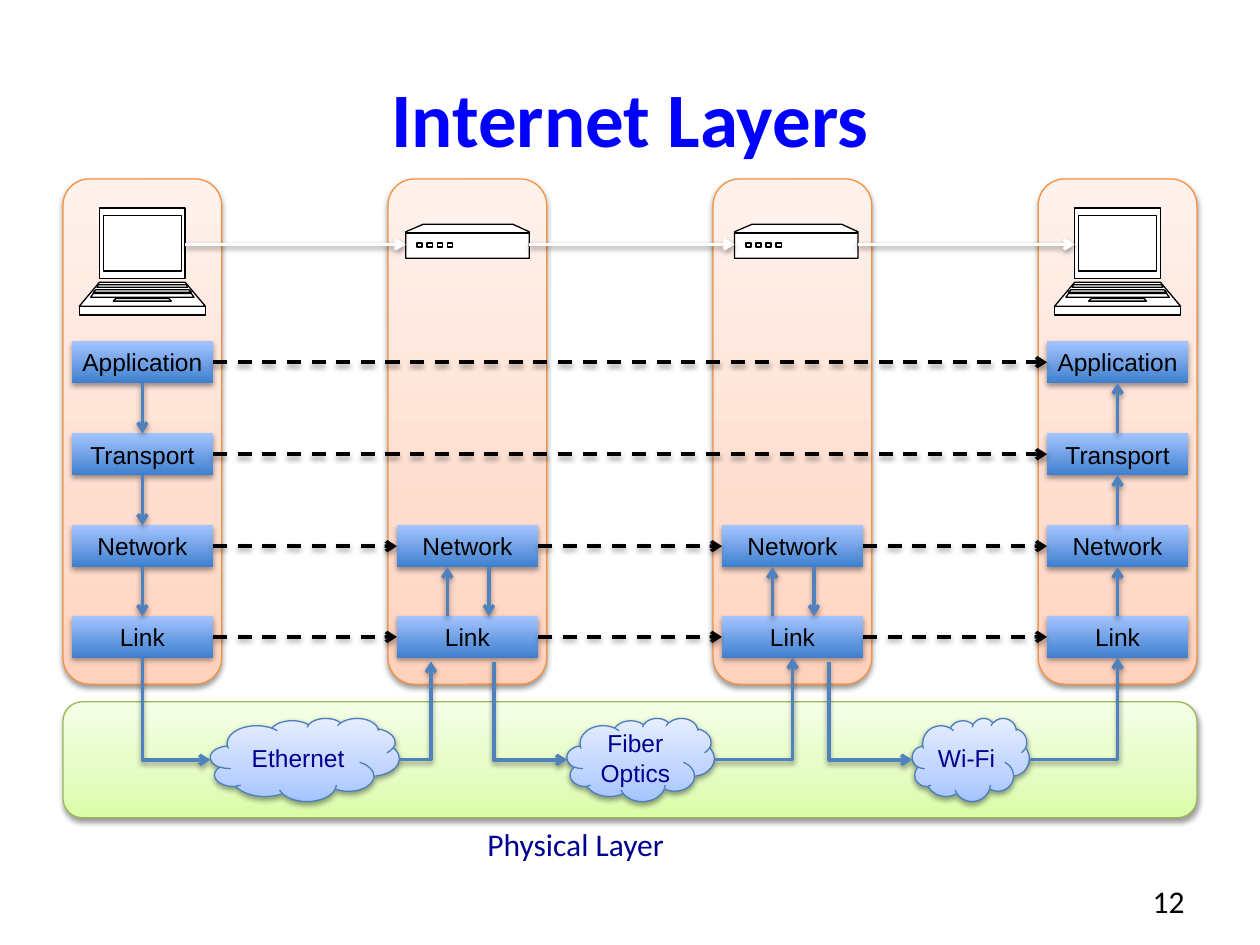
from copy import deepcopy

from lxml.etree import SubElement
from pptx import Presentation
from pptx.dml.color import RGBColor
from pptx.enum.dml import MSO_LINE
from pptx.enum.shapes import MSO_CONNECTOR as CONN, MSO_SHAPE as SHAPE
from pptx.enum.text import MSO_ANCHOR as ANCHOR, PP_ALIGN as ALIGN
from pptx.oxml.ns import qn
from pptx.util import Inches, Pt

COLORS = {
    "title": "0000FF", "navy": "000090", "black": "000000", "white": "FFFFFF",
    "arrow": "4F81BD", "host_line": "F69240", "physical_line": "98B955",
    "cloud_line": "4B7EBC",
}
GRADIENTS = {
    "host": ((0, "FFD2BD"), (0.35, "FFDED0"), (1, "FFF2ED")),
    "physical": ((0, "DAFDA7"), (0.35, "E4FCC2"), (1, "F5FFE7")),
    "cloud": ((0, "A4C4FF"), (0.35, "BFD4FF"), (1, "E6EEFF")),
    "layer": ((0, "3F80CE"), (1, "A4C4FF")),
}
LAYER_TOPS = {"Application": 2.71, "Transport": 3.44, "Network": 4.17, "Link": 4.89}
LAYER_W, LAYER_H, LAYER_INSET = 1.12, 0.33, 0.07
HOST_W, HOST_H, HOST_TOP = 1.26, 4.01, 1.42
HOST_LEFTS = [0.5 + 2.58 * i for i in range(4)]
ICON_Y = 1.94


def color(name):
    """Return the named colour."""
    return RGBColor.from_string(COLORS[name])


def add_shadow(sp):
    """Give a shape or connector a soft shadow below it."""
    effects = SubElement(sp._element.spPr, qn("a:effectLst"))
    shadow = SubElement(effects, qn("a:outerShdw"), blurRad="40000", dist="20000",
                        dir="5400000", rotWithShape="0")
    clr = SubElement(shadow, qn("a:srgbClr"), val=COLORS["black"])
    SubElement(clr, qn("a:alpha"), val="38000")


def fill_gradient(fill, stops):
    """Fill with a gradient that runs from bottom to top."""
    fill.gradient()
    fill.gradient_angle = 90
    last = fill.gradient_stops[-1]._gs
    for _ in stops[2:]:
        last.addprevious(deepcopy(last))
    for stop, (position, value) in zip(fill.gradient_stops, stops):
        stop.position = position
        stop.color.rgb = RGBColor.from_string(value)


def write(tf, text, ink, align=ALIGN.CENTER, **fmt):
    """Write one formatted paragraph into a text frame."""
    p = tf.paragraphs[0]
    p.alignment = align
    r = p.add_run()
    r.text = text
    r.font.color.rgb = color(ink)
    for name, value in fmt.items():
        setattr(r.font, name, value)


def add_box(s, kind, box, gradient, line=None, text=None, ink="black"):
    """Add a shaded preset shape, with a centred label if there is one."""
    sp = s.shapes.add_shape(kind, *map(Inches, box))
    fill_gradient(sp.fill, GRADIENTS[gradient])
    if line:
        sp.line.color.rgb = color(line)
        sp.line.width = Pt(0.75)
    else:
        sp.line.fill.background()
    add_shadow(sp)
    if text:
        tf = sp.text_frame
        frame = {"margin_left": 0, "margin_right": 0, "word_wrap": True,
                 "vertical_anchor": ANCHOR.MIDDLE}
        for name, value in frame.items():
            setattr(tf, name, value)
        write(tf, text, ink, size=Pt(14), name="Arial")


def add_arrow(s, start, end, ink="arrow", dash=None, kind=CONN.STRAIGHT):
    """Add an arrow between two points."""
    c = s.shapes.add_connector(kind, *map(Inches, (*start, *end)))
    c.line.color.rgb = color(ink)
    c.line.width = Pt(2)
    if dash:
        c.line.dash_style = dash
    SubElement(c.line._get_or_add_ln(), qn("a:tailEnd"), type="arrow")
    add_shadow(c)
    return c


def add_right_up(s, start, end):
    """Add an arrow that runs right, then up."""
    c = add_arrow(s, start, end, kind=CONN.ELBOW)
    c._element.spPr.find(qn("a:prstGeom")).set("prst", "bentConnector2")
    return c


def add_down_right(s, start, end):
    """Add an arrow that runs down, then right, as a turned right-angle bend."""
    (x1, y1), (x2, y2) = start, end
    cx, cy = (x1 + x2) / 2, (y1 + y2) / 2
    dx, dy = (y2 - y1) / 2, (x2 - x1) / 2
    c = add_right_up(s, (cx + dx, cy - dy), (cx - dx, cy + dy))
    c._element.spPr.find(qn("a:xfrm")).set("rot", "16200000")


def add_outline(s, left, top, contours):
    """Add one white freeform whose contours are stacked as separate outlines."""
    points = [[(Inches(left + x), Inches(top + y)) for x, y in c] for c in contours]
    builder = s.shapes.build_freeform(*points[0][0])
    for i, contour in enumerate(points):
        if i:
            builder.move_to(*contour[0])
        builder.add_line_segments(contour[1:], close=len(contour) > 2)
    sp = builder.convert_to_shape()
    sp.fill.solid()
    sp.fill.fore_color.rgb = color("white")
    sp.line.color.rgb = color("black")
    sp.line.width = Pt(0.75)
    sp.shadow.inherit = False
    outline = next(sp._element.iter(qn("a:path")))
    target = outline
    for i, step in enumerate(list(outline)):
        if i and step.tag == qn("a:moveTo"):
            target = SubElement(outline.getparent(), qn("a:path"), dict(outline.attrib))
        target.append(step)


def add_laptop(s, center, top):
    """Add a laptop built from trapezoids around a centre line."""
    bands = [(0, 0.56, 0.34, 0.34), (0.59, 0.78, 0.34, 0.5), (0.78, 0.85, 0.5, 0.5),
             (0.06, 0.5, 0.31, 0.31), (0.61, 0.63, 0.35, 0.36), (0.72, 0.74, 0.21, 0.23),
             (0.65, 0.67, 0.37, 0.39), (0.68, 0.71, 0.39, 0.41)]
    add_outline(s, center, top, [[(-a, y1), (-b, y2), (b, y2), (a, y1)]
                                 for y1, y2, a, b in bands])


def add_router(s, left, top):
    """Add a flat router with four ports."""
    body = [(0, 0.06), (0.14, 0), (0.85, 0), (0.98, 0.06), (0.98, 0.27), (0, 0.27)]
    edge = [(0, 0.07), (0.98, 0.07)]
    ports = [[(x, 0.15), (x, 0.18), (x + 0.04, 0.18), (x + 0.04, 0.15)]
             for x in (0.09 + 0.08 * i for i in range(4))]
    add_outline(s, left, top, [body, edge, *ports])


def add_host(s, left, layers):
    """Add one column with its stack of layer boxes."""
    add_box(s, SHAPE.ROUNDED_RECTANGLE, (left, HOST_TOP, HOST_W, HOST_H), "host", "host_line")
    for name in layers:
        box = (left + LAYER_INSET, LAYER_TOPS[name], LAYER_W, LAYER_H)
        add_box(s, SHAPE.RECTANGLE, box, "layer", text=name)


def add_steps(s, x, tops, up=False):
    """Add the vertical arrows between neighbouring layers at x."""
    for upper, lower in zip(tops, tops[1:]):
        ends = [(x, upper + LAYER_H), (x, lower)]
        add_arrow(s, *(ends[::-1] if up else ends))


def add_peer_links(s):
    """Add the dashed arrows between matching layers."""
    for name, top in LAYER_TOPS.items():
        lefts = HOST_LEFTS if name in ("Network", "Link") else HOST_LEFTS[::3]
        y = top + LAYER_H / 2
        for a, b in zip(lefts, lefts[1:]):
            add_arrow(s, (a + LAYER_INSET + LAYER_W, y), (b + LAYER_INSET, y),
                      "black", MSO_LINE.DASH)


def add_medium(s, name, left, width, source, target):
    """Add a cloud with the arrows into it and out of it."""
    top, height = 5.7, 0.66
    y = top + height / 2
    add_box(s, SHAPE.CLOUD, (left, top, width, height), "cloud", "cloud_line", name, "navy")
    add_down_right(s, source, (left, y))
    add_right_up(s, (left + width, y), target)


def add_caption(s, box, text, ink, align):
    """Add a line of plain text."""
    tf = s.shapes.add_textbox(*map(Inches, box)).text_frame
    tf.word_wrap = True
    write(tf, text, ink, align, size=Pt(18), name="Calibri")


def build_slide(prs):
    """Build the layers slide."""
    s = prs.slides.add_slide(prs.slide_layouts[5])
    title = s.shapes.title
    for name, value in zip(("left", "top", "width", "height"), (0.5, 0.3, 9, 1.25)):
        setattr(title, name, Inches(value))
    title.text_frame.vertical_anchor = ANCHOR.MIDDLE
    write(title.text_frame, "Internet Layers", "title", size=Pt(44), name="Calibri", bold=True)

    add_box(s, SHAPE.ROUNDED_RECTANGLE, (0.5, 5.57, 9, 0.92), "physical", "physical_line")
    tops = list(LAYER_TOPS.values())
    for i, left in enumerate(HOST_LEFTS):
        center = left + HOST_W / 2
        if i in (0, 3):
            add_host(s, left, LAYER_TOPS)
            add_laptop(s, center, 1.65)
            add_steps(s, center, tops, up=i == 3)
        else:
            add_host(s, left, ["Network", "Link"])
            add_router(s, (3.22, 5.83)[i - 1], 1.78)
            add_steps(s, center - 0.16, tops[2:], up=True)
            add_steps(s, center + 0.17, tops[2:])

    for medium in [("Ethernet", 1.67, 1.5, (1.13, 5.22), (3.42, 5.25)),
                   ("Fiber Optics", 4.5, 1.17, (3.92, 5.25), (6.29, 5.22)),
                   ("Wi-Fi", 7.24, 0.93, (6.58, 5.25), (8.87, 5.22))]:
        add_medium(s, *medium)
    for x1, x2 in [(1.47, 3.22), (4.2, 5.83), (6.81, 8.53)]:
        add_arrow(s, (x1, ICON_Y), (x2, ICON_Y), "white")
    add_peer_links(s)
    add_caption(s, (3.77, 6.5, 1.62, 0.4), "Physical Layer", "navy", ALIGN.LEFT)
    add_caption(s, (7.17, 6.95, 2.33, 0.4), "12", "black", ALIGN.RIGHT)


def main():
    """Create the presentation and save it."""
    prs = Presentation()
    prs.slide_width, prs.slide_height = Inches(10), Inches(7.5)
    build_slide(prs)
    prs.save("out.pptx")


if __name__ == "__main__":
    main()
